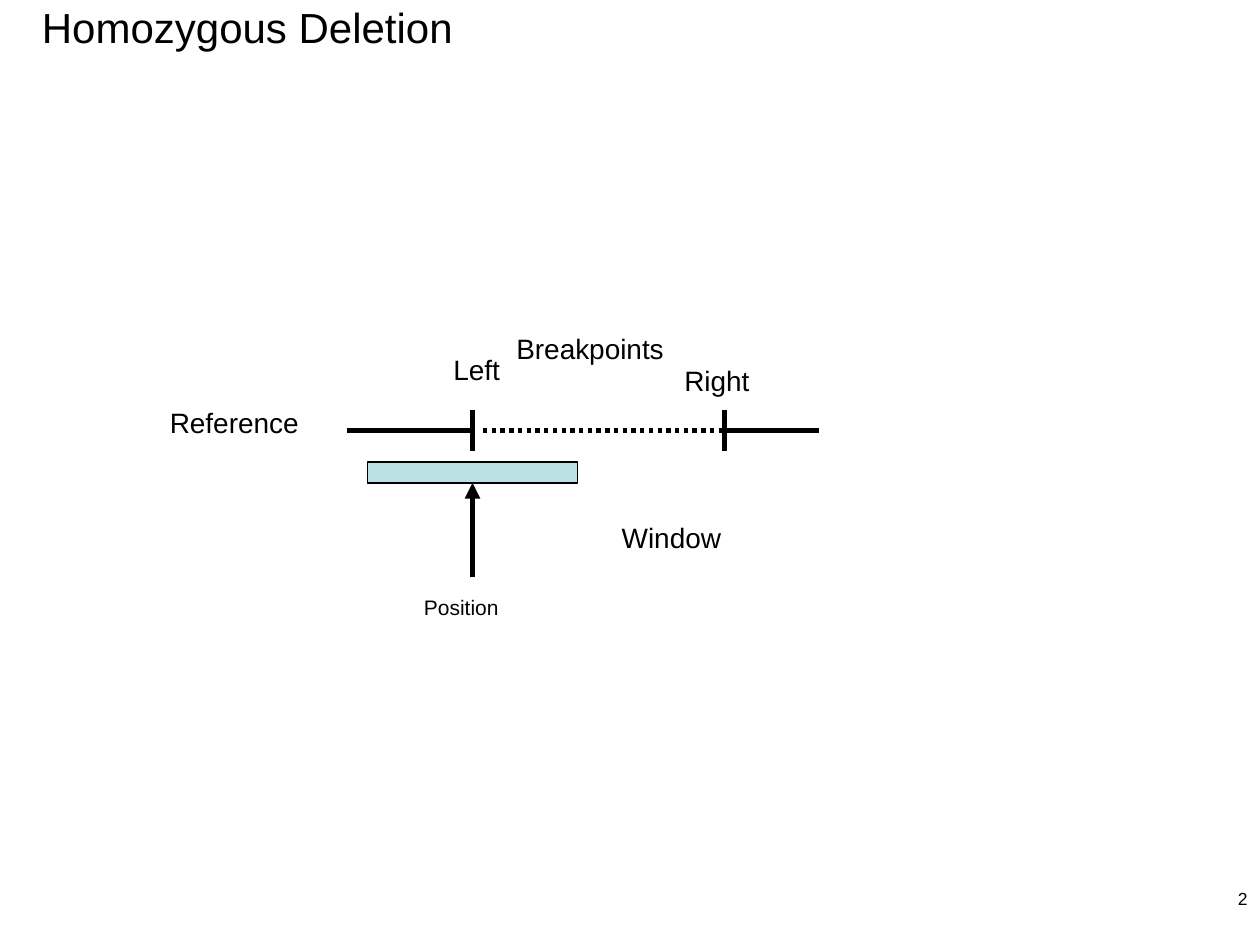
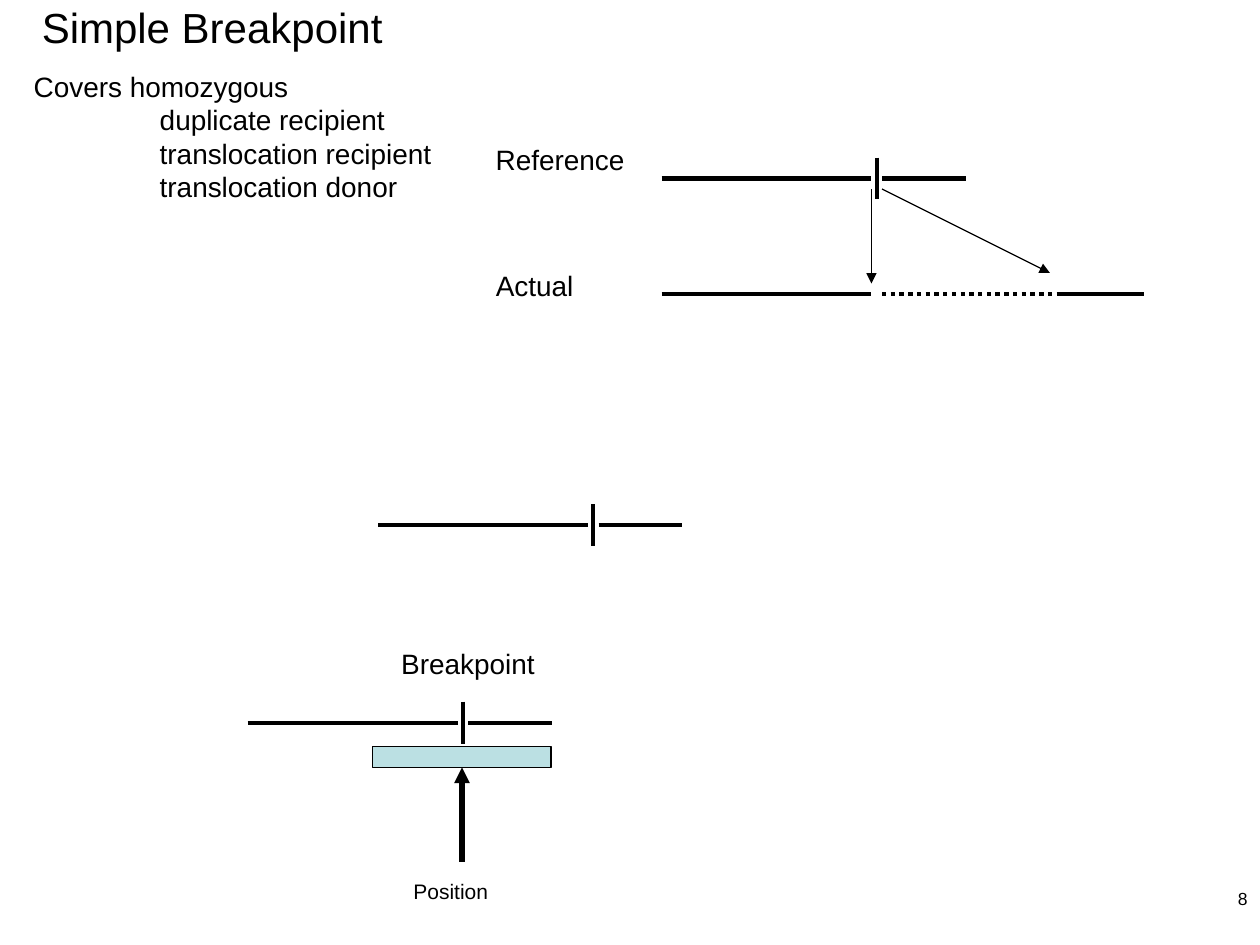
from lxml import etree
from pptx import Presentation
from pptx import util as u
from pptx.dml import color
from pptx.enum import dml, shapes, text
from pptx.oxml import ns

Pt = u.Pt
COLORS = {"ink": "000000", "window": "BBE0E3"}


class Deck:
    font = "Arial"
    body = 16
    thick = 2.5
    thin = 0.75
    tick = 24
    gap = 6

    def __init__(self):
        self.prs = Presentation()
        self.prs.slide_width = Pt(720)
        self.prs.slide_height = Pt(540)
        self.s = None

    def rgb(self, name):
        return color.RGBColor.from_string(COLORS[name])

    def slide(self, title, number, title_width):
        self.s = self.prs.slides.add_slide(self.prs.slide_layouts[6])
        self.label(title, 16.8, -2.6, title_width, 36, 24)
        tf = self.label(number, 570, 504, 150, 36, 10)
        tf.word_wrap = True
        tf.auto_size = text.MSO_AUTO_SIZE.NONE
        tf.paragraphs[0].alignment = text.PP_ALIGN.RIGHT

    def label(self, words, x, y, w, h=26.5, size=body):
        tf = self.s.shapes.add_textbox(Pt(x), Pt(y), Pt(w), Pt(h)).text_frame
        tf.word_wrap = False
        tf.auto_size = text.MSO_AUTO_SIZE.SHAPE_TO_FIT_TEXT
        tf.text = words
        for p in tf.paragraphs:
            p.alignment = text.PP_ALIGN.LEFT
            for r in p.runs:
                r.font.name = self.font
                r.font.size = Pt(size)
                r.font.color.rgb = self.rgb("ink")
        return tf

    def outline(self, lead, items, x, y, w, h):
        tf = self.label("\n".join([lead, *items]), x, y, w, h)
        tf.word_wrap = True
        tf.auto_size = text.MSO_AUTO_SIZE.NONE
        for p in tf.paragraphs[1:]:
            p._p.get_or_add_pPr().set("marL", str(Pt(72)))

    def line(self, x1, y1, x2, y2, width=thick, dotted=False, arrow=False):
        c = self.s.shapes.add_connector(
            shapes.MSO_CONNECTOR.STRAIGHT, Pt(x1), Pt(y1), Pt(x2), Pt(y2))
        c.line.color.rgb = self.rgb("ink")
        c.line.width = Pt(width)
        if dotted:
            c.line.dash_style = dml.MSO_LINE.ROUND_DOT
        if arrow:
            ln = c.line._get_or_add_ln()
            etree.SubElement(ln, ns.qn("a:tailEnd")).set("type", "triangle")
        etree.SubElement(c._element.spPr, ns.qn("a:effectLst"))

    def tick_mark(self, x, y):
        self.line(x, y - self.tick / 2, x, y + self.tick / 2)

    def strand(self, left, cut, resume, right, y):
        self.line(left, y, cut, y)
        self.line(cut + self.gap, y, resume, y, dotted=True)
        self.line(resume, y, right, y)

    def broken_strand(self, left, y):
        cut = left + 120
        self.line(left, y, cut, y)
        self.line(cut + self.gap, y, cut + self.gap + 48, y)
        self.tick_mark(cut + self.gap / 2, y)

    def window(self, x, y, w, position):
        sp = self.s.shapes.add_shape(
            shapes.MSO_SHAPE.RECTANGLE, Pt(x), Pt(y), Pt(w), Pt(12))
        sp.shadow.inherit = False
        sp.fill.solid()
        sp.fill.fore_color.rgb = self.rgb("window")
        sp.line.color.rgb = self.rgb("ink")
        sp.line.width = Pt(self.thin)
        tip = y + 12
        self.line(position, tip + 54, position, tip, 3, arrow=True)
        self.label("Position", position - 34.8, tip + 60, 58, 21.5, 12)


def homozygous_deletion(d):
    d.slide("Homozygous Deletion", "2", 250)
    d.label("Reference", 90, 228, 89)
    d.label("Breakpoints", 288, 186, 99.5)
    d.label("Left", 252, 198, 42)
    d.label("Right", 384, 204, 53)
    d.label("Window", 348.2, 294, 72)
    left, right = 270, 414
    for x in (left, right):
        d.tick_mark(x, 246)
    d.strand(198, left, right, 468, 246)
    d.window(210, 264, 120, left)


def simple_breakpoint(d):
    d.slide("Simple Breakpoint", "8", 210)
    d.outline("Covers homozygous",
              ["duplicate recipient", "translocation recipient",
               "translocation donor"], 12.2, 36, 250, 103.5)
    d.label("Reference", 276.2, 78, 89)
    d.label("Actual", 276.2, 150, 60)
    d.label("Breakpoint", 222.2, 366, 92)
    for left, y in ((378, 102), (216, 300), (141.5, 413)):
        d.broken_strand(left, y)
    d.strand(378, 498, 606, 654, 168)
    d.line(498, 108, 498, 162, d.thin, arrow=True)
    d.line(504, 108, 600, 156, d.thin, arrow=True)
    d.window(213, 426.5, 102, 264)


def main():
    d = Deck()
    homozygous_deletion(d)
    simple_breakpoint(d)
    d.prs.save("out.pptx")


if __name__ == "__main__":
    main()
